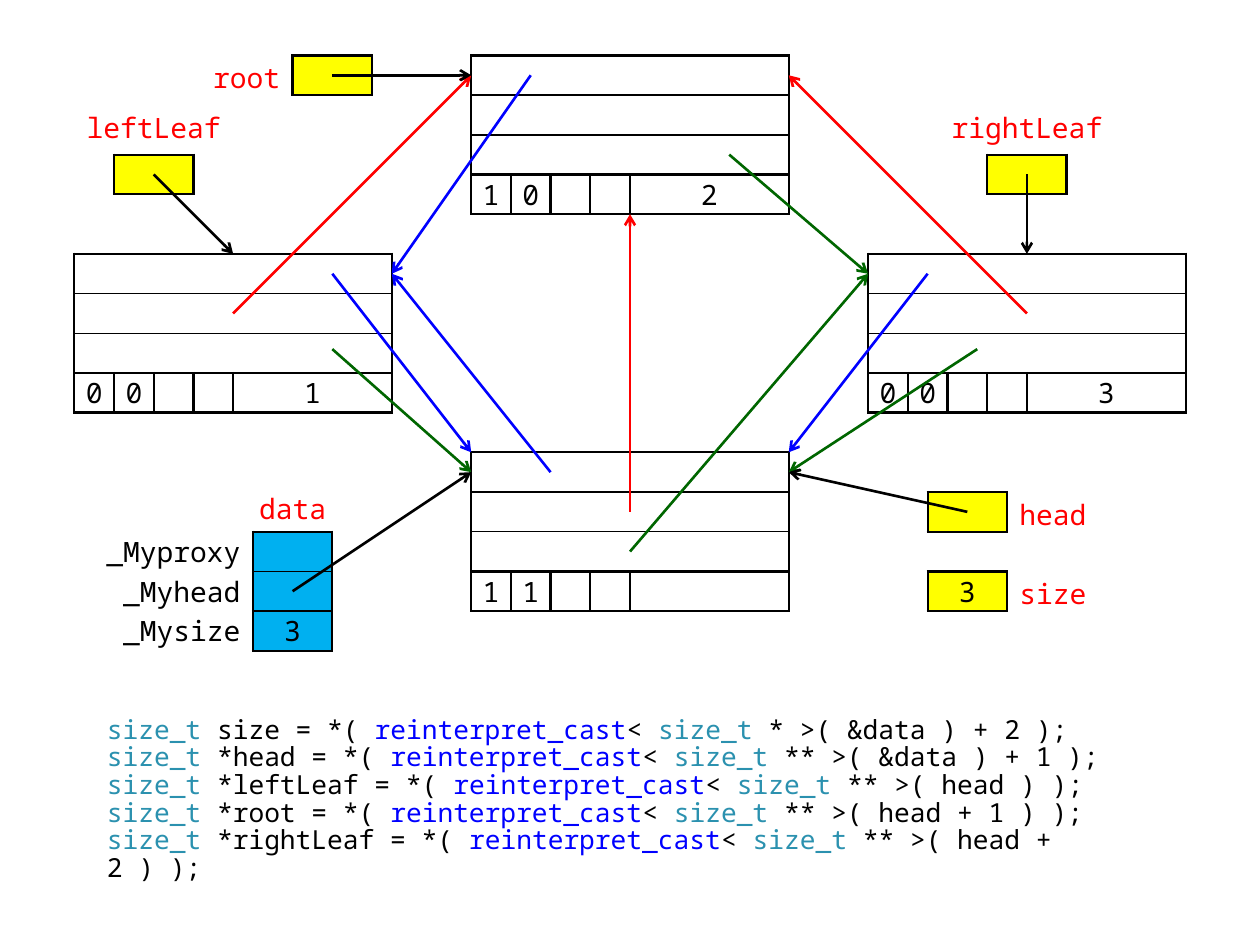
from lxml import etree
from pptx import Presentation
from pptx.dml.color import RGBColor
from pptx.enum.shapes import MSO_CONNECTOR
from pptx.enum.text import MSO_ANCHOR, PP_ALIGN
from pptx.oxml.ns import qn
from pptx.util import Inches, Pt

STRAIGHT = MSO_CONNECTOR.STRAIGHT
LEFT, CENTER, RIGHT = PP_ALIGN.LEFT, PP_ALIGN.CENTER, PP_ALIGN.RIGHT
TOP, MIDDLE, BOTTOM = MSO_ANCHOR.TOP, MSO_ANCHOR.MIDDLE, MSO_ANCHOR.BOTTOM

COLORS = {
    "black": "000000", "red": "FF0000", "blue": "0000FF", "green": "006600",
    "yellow": "FFFF00", "sky": "00B0F0", "teal": "2B91AF",
}
FONT = "Noto Sans Mono"
NO_STYLE = "{2D5ABB26-0587-4C30-8999-92F81FD0307C}"
UNIT, GRID_LEFT, GRID_TOP = 0.315, 0.59, 0.44
THICK, THIN = 1.5, 1

NODES = [
    (10, 0, ["1", "0", "", "", "2"]),
    (0, 5, ["0", "0", "", "", "1"]),
    (20, 5, ["0", "0", "", "", "3"]),
    (10, 10, ["1", "1", "", "", ""]),
]
VARIABLES = [(5.5, 0, ""), (1, 2.5, ""), (23, 2.5, ""), (21.5, 11, ""), (21.5, 13, "3")]
LABELS = [
    ("root", (3, 0, 2.5, 1), RIGHT, TOP, (0.1, 0.04, 0.1, 0)),
    ("head", (23.5, 11, 2.5, 1), LEFT, TOP, (0.1, 0.04, 0.1, 0)),
    ("size", (23.5, 13, 2.5, 1), LEFT, TOP, (0.1, 0.04, 0.1, 0)),
    ("data", (4.5, 11, 2, 1), CENTER, TOP, (0, 0, 0, 0)),
    ("leftLeaf", (-0.5, 1, 5, 1.5), CENTER, BOTTOM, (0, 0, 0, 0.08)),
    ("rightLeaf", (21.5, 1, 5, 1.5), CENTER, BOTTOM, (0, 0, 0, 0.08)),
]
ARROWS = [
    ("red", (24, 6.5), (18, 0.5)),
    ("red", (4, 6.5), (10, 0.5)),
    ("red", (14, 11.5), (14, 4)),
    ("green", (16.5, 2.5), (20, 5.5)),
    ("green", (6.5, 7.4), (10, 10.5)),
    ("green", (22.75, 7.4), (18, 10.5)),
    ("green", (14, 12.5), (20, 5.5)),
    ("blue", (12, 10.5), (8, 5.5)),
    ("blue", (11.5, 0.5), (8, 5.5)),
    ("blue", (6.5, 5.5), (10, 10)),
    ("blue", (21.5, 5.5), (18, 10)),
    ("black", (5.5, 13.5), (10, 10.5)),
    ("black", (24, 3), (24, 5)),
    ("black", (2, 3), (4, 5)),
    ("black", (22.5, 11.5), (18, 10.5)),
    ("black", (6.5, 0.5), (10, 0.5)),
]
STATEMENTS = [
    ("size", "*", "&data ) + 2"),
    ("*head", "**", "&data ) + 1"),
    ("*leftLeaf", "**", "head )"),
    ("*root", "**", "head + 1 )"),
    ("*rightLeaf", "**", "head + 2 )"),
]


def color(name):
    return RGBColor.from_string(COLORS[name])


def grid_point(column, row):
    return Inches(GRID_LEFT + UNIT * column), Inches(GRID_TOP + UNIT * row)


def style_para(para, size, align, name="black"):
    para.alignment = align
    para.font.size = Pt(size)
    para.font.name = FONT
    para.font.color.rgb = color(name)


def set_margins(target, margins):
    (target.margin_left, target.margin_top,
     target.margin_right, target.margin_bottom) = map(Inches, margins)


def add_grid_table(page, column, row, widths, row_count):
    frame = page.shapes.add_table(
        row_count, len(widths), *grid_point(column, row),
        Inches(UNIT * sum(widths)), Inches(UNIT * row_count))
    table = frame.table
    table.first_row = table.horz_banding = False
    frame._element.find(".//" + qn("a:tableStyleId")).text = NO_STYLE
    for table_column, width in zip(table.columns, widths):
        table_column.width = Inches(UNIT * width)
    for table_row in table.rows:
        table_row.height = Inches(UNIT)
    return table


def fill_cell(cell, text="", fill=None, borders=(), align=CENTER, inset=0.08):
    cell.text = text
    cell.vertical_anchor = MIDDLE
    set_margins(cell, (inset, 0, inset, 0))
    style_para(cell.text_frame.paragraphs[0], 16 if text else 10, align)
    props = cell._tc.get_or_add_tcPr()
    for side, width in zip("LRTB", borders):
        line = etree.SubElement(props, qn(f"a:ln{side}"), w=str(Pt(width)))
        solid = etree.SubElement(line, qn("a:solidFill"))
        etree.SubElement(solid, qn("a:srgbClr"), val=COLORS["black"])
    if fill:
        cell.fill.solid()
        cell.fill.fore_color.rgb = color(fill)
    else:
        cell.fill.background()


def add_node(page, column, row, values):
    table = add_grid_table(page, column, row, [1, 1, 1, 1, 4], 4)
    for index, (top, bottom) in enumerate([(THICK, THIN), (THIN, THIN), (THIN, THICK)]):
        table.cell(index, 0).merge(table.cell(index, 4))
        fill_cell(table.cell(index, 0), borders=(THICK, THICK, top, bottom))
    for index, value in enumerate(values):
        fill_cell(table.cell(3, index), value, borders=[THICK] * 4)


def add_variable(page, column, row, value):
    table = add_grid_table(page, column, row, [2], 1)
    fill_cell(table.cell(0, 0), value, "yellow", [THICK] * 4)


def add_data_table(page, column, row):
    fields = [("_Myproxy", "", THICK, THIN), ("_Myhead", "", THIN, THIN),
              ("_Mysize", "3", THIN, THICK)]
    table = add_grid_table(page, column, row, [4.5, 2], len(fields))
    for index, (name, value, top, bottom) in enumerate(fields):
        fill_cell(table.cell(index, 0), name, align=RIGHT, inset=0.1)
        fill_cell(table.cell(index, 1), value, "sky", (THICK, THICK, top, bottom))


def add_label(page, text, area, align, anchor, margins):
    column, row, width, height = area
    box = page.shapes.add_textbox(
        *grid_point(column, row), Inches(UNIT * width), Inches(UNIT * height))
    frame = box.text_frame
    frame.word_wrap = True
    frame.vertical_anchor = anchor
    set_margins(frame, margins)
    frame.text = text
    style_para(frame.paragraphs[0], 16, align, "red")


def add_arrow(page, name, start, end):
    arrow = page.shapes.add_connector(STRAIGHT, *grid_point(*start), *grid_point(*end))
    arrow.line.color.rgb = color(name)
    arrow.line.width = Pt(THICK)
    etree.SubElement(arrow.line._get_or_add_ln(), qn("a:tailEnd"), type="arrow")
    etree.SubElement(arrow._element.spPr, qn("a:effectLst"))


def add_code(page, left, top, width, height):
    box = page.shapes.add_textbox(Inches(left), Inches(top), Inches(width), Inches(height))
    frame = box.text_frame
    frame.word_wrap = True
    for index, (target, stars, argument) in enumerate(STATEMENTS):
        para = frame.add_paragraph() if index else frame.paragraphs[0]
        style_para(para, 15, LEFT)
        para.line_spacing = 0.88
        for text, name in [
            ("size_t", "teal"), (f" {target} = *( ", "black"),
            ("reinterpret_cast", "blue"), ("< ", "black"),
            ("size_t", "teal"), (f" {stars} >( {argument} );", "black"),
        ]:
            span = para.add_run()
            span.text = text
            span.font.color.rgb = color(name)


def main():
    deck = Presentation()
    deck.slide_width, deck.slide_height = Inches(10), Inches(7.5)
    page = deck.slides.add_slide(deck.slide_layouts[6])
    add_code(page, 0.75, 5.64, 8.5, 1.42)
    add_data_table(page, 0, 12)
    for node in NODES:
        add_node(page, *node)
    for variable in VARIABLES:
        add_variable(page, *variable)
    for label in LABELS:
        add_label(page, *label)
    for arrow in ARROWS:
        add_arrow(page, *arrow)
    deck.save("out.pptx")


if __name__ == "__main__":
    main()
